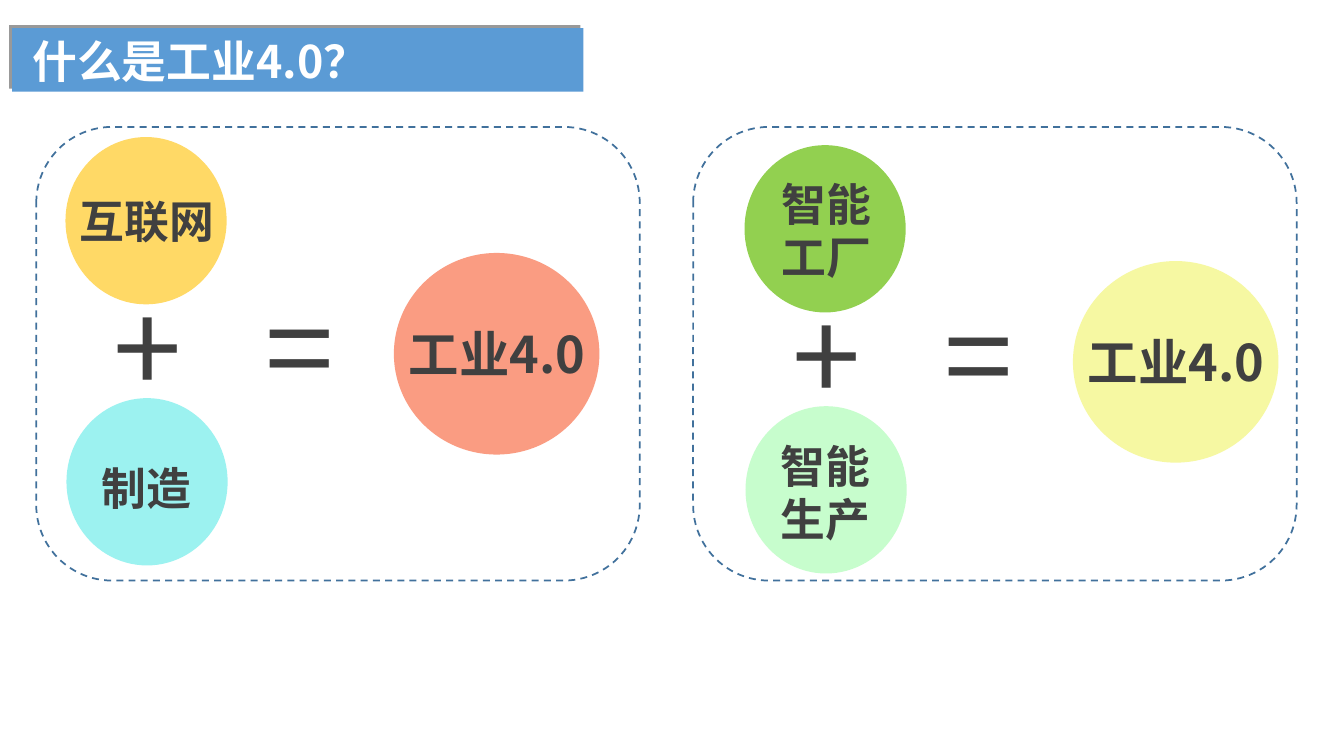
from lxml.etree import SubElement
from pptx import Presentation
from pptx.dml.color import RGBColor
from pptx.enum.dml import MSO_LINE
from pptx.enum.shapes import MSO_SHAPE
from pptx.enum.text import MSO_ANCHOR, MSO_AUTO_SIZE, PP_ALIGN
from pptx.oxml import parse_xml
from pptx.oxml.ns import nsdecls, qn
from pptx.util import Inches, Pt

THEME = {
    "font": "Noto Sans CJK SC",
    "bar": "5B9BD5",
    "title": "FFFFFF",
    "text": "404040",
    "frame": "41719C",
    "label_size": 32,
    "result_size": 36,
    "sign_size": 88,
}


def add_plain_shape(kind, left, top, width, height, fill=None):
    shape = slide.shapes.add_shape(kind, Inches(left), Inches(top), Inches(width), Inches(height))
    shape.shadow.inherit = False
    shape.line.fill.background()
    if fill:
        shape.fill.solid()
        shape.fill.fore_color.rgb = RGBColor.from_string(fill)
    else:
        shape.fill.background()
    return shape


def write_text(shape, text, size, color=THEME["text"], bold=True, align=PP_ALIGN.CENTER):
    frame = shape.text_frame
    frame_format = {
        "text": text,
        "word_wrap": True,
        "vertical_anchor": MSO_ANCHOR.TOP,
        "auto_size": MSO_AUTO_SIZE.SHAPE_TO_FIT_TEXT,
    }
    for name, value in frame_format.items():
        setattr(frame, name, value)
    font_format = {"name": THEME["font"], "size": Pt(size), "bold": bold}
    for paragraph in frame.paragraphs:
        paragraph.alignment = align
        for run in paragraph.runs:
            for name, value in font_format.items():
                setattr(run.font, name, value)
            run.font.color.rgb = RGBColor.from_string(color)
    # Chinese characters take their font from the East Asian slot
    for properties in shape.element.iter(qn("a:rPr")):
        SubElement(properties, qn("a:ea"), typeface=THEME["font"])


presentation = Presentation()
presentation.slide_width = Inches(13.34)
presentation.slide_height = Inches(7.5)
slide = presentation.slides.add_slide(presentation.slide_layouts[5])

# Title on a blue bar with a shadow to the upper left
title = slide.shapes.title
title_box = {"left": 0.12, "top": 0.28, "width": 5.67, "height": 0.64}
for name, value in title_box.items():
    setattr(title, name, Inches(value))
write_text(title, "什么是工业4.0？", THEME["label_size"], THEME["title"], align=PP_ALIGN.LEFT)
title.text_frame.margin_left = Inches(0.2)

bar = add_plain_shape(MSO_SHAPE.RECTANGLE, 0.12, 0.28, 5.67, 0.63, THEME["bar"])
effects = bar.element.spPr.find(qn("a:effectLst"))
effects.append(parse_xml(
    f'<a:outerShdw {nsdecls("a")} dist="38100" dir="13500000" algn="br" rotWithShape="0">'
    '<a:srgbClr val="000000"><a:alpha val="40000"/></a:srgbClr></a:outerShdw>'
))
title.element.addprevious(bar.element)

# Two equations of the same layout: first term + second term = result
equations = [
    {
        "shift": (0, 0),
        "frame_left": 0.36,
        "fills": ("FFD966", "9CF2F0", "FA9C82"),
        "first": ("互联网", 1.87, 0.64),
        "second": ("制造", 4.52, 0.64),
    },
    {
        "shift": (6.74, 0.08),
        "frame_left": 6.88,
        "fills": ("92D050", "C7FDCD", "F6F8A2"),
        "first": ("智能\n工厂", 1.7, 1.17),
        "second": ("智能\n生产", 4.3, 1.17),
    },
]
circles = [(0.65, 1.36, 1.6, 1.66), (0.66, 3.95, 1.6, 1.66), (3.91, 2.51, 2.04, 2)]

for equation in equations:
    right, down = equation["shift"]
    for (left, top, width, height), fill in zip(circles, equation["fills"]):
        add_plain_shape(MSO_SHAPE.FLOWCHART_CONNECTOR, left + right, top + down, width, height, fill)

    # Labels and signs
    first, first_top, first_height = equation["first"]
    second, second_top, second_height = equation["second"]
    labels = [
        (first, 0.57 + right, first_top, 1.78, first_height, THEME["label_size"], True),
        (second, 0.65 + right, second_top, 1.6, second_height, THEME["label_size"], True),
        ("工业4.0", 3.75 + right, 3.16 + down, 2.37, 0.7, THEME["result_size"], True),
        ("+", 0.53 + right, 2.64 + down, 1.87, 1.57, THEME["sign_size"], False),
        ("=", 2.04 + right, 2.64 + down, 1.87, 1.57, THEME["sign_size"], False),
    ]
    for text, left, top, width, height, size, bold in labels:
        box = slide.shapes.add_textbox(Inches(left), Inches(top), Inches(width), Inches(height))
        write_text(box, text, size, bold=bold)

    # Dashed frame
    frame = add_plain_shape(MSO_SHAPE.ROUNDED_RECTANGLE, equation["frame_left"], 1.26, 5.99, 4.5)
    frame.adjustments[0] = 0.167
    frame.line.color.rgb = RGBColor.from_string(THEME["frame"])
    frame.line.width = Pt(1.25)
    frame.line.dash_style = MSO_LINE.DASH

presentation.save("out.pptx")
